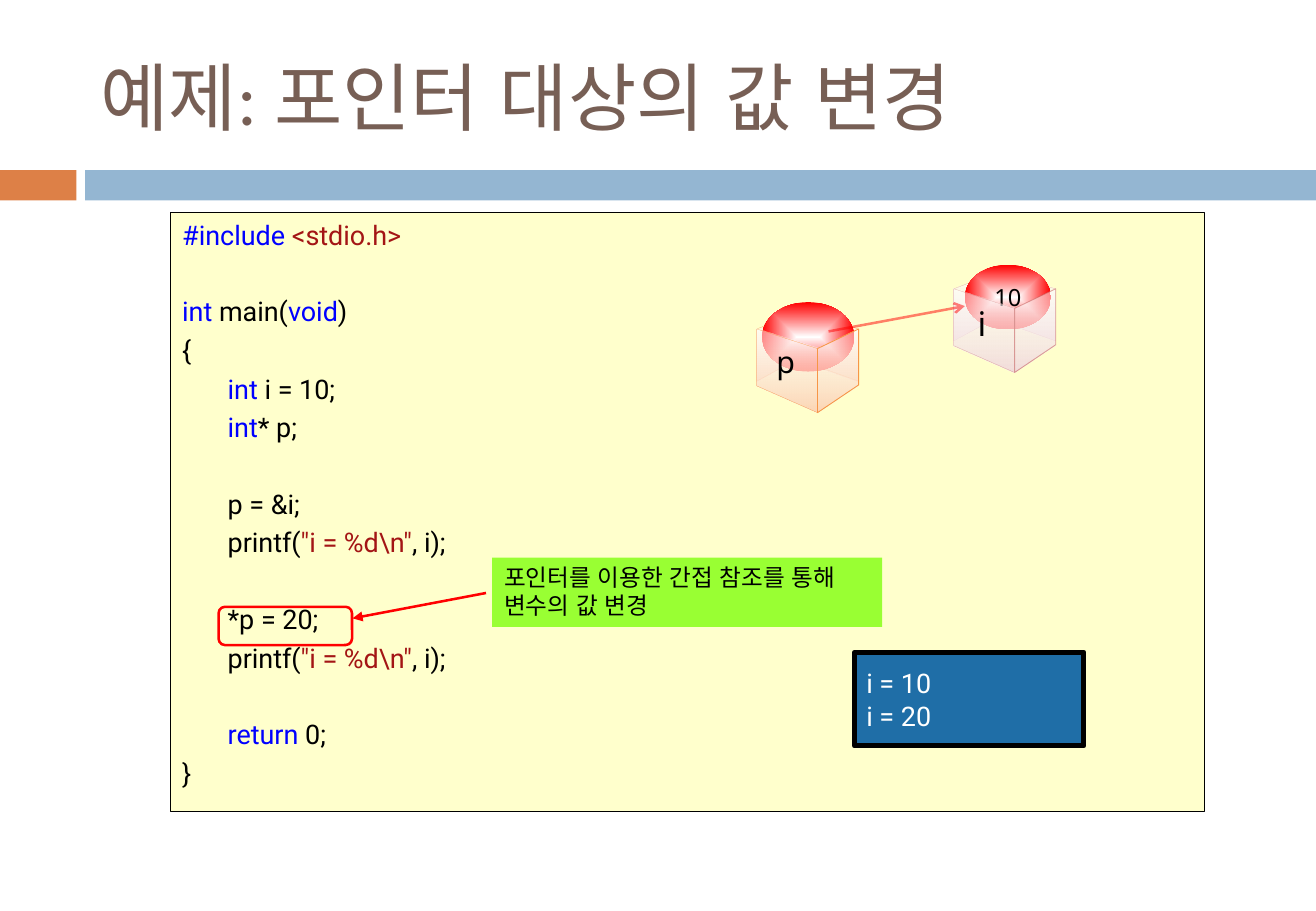
from lxml.etree import SubElement
from pptx import Presentation
from pptx.dml.color import RGBColor
from pptx.enum.lang import MSO_LANGUAGE_ID
from pptx.enum.shapes import MSO_CONNECTOR, MSO_SHAPE
from pptx.enum.text import MSO_ANCHOR, PP_ALIGN
from pptx.oxml.ns import qn
from pptx.util import Cm, Pt

HUE = {
    "black": "000000", "white": "FFFFFF", "brown": "775F55",
    "orange": "DD8047", "sky": "94B6D2", "cream": "FFFFCC",
    "key": "0000FF", "text": "A31515", "red": "FF0000",
    "lime": "99FF33", "screen": "1F6EA7", "peach": "FCD5B5",
    "amber": "F79646", "rose": "F2DCDB", "wine": "C0504D",
}
KOREAN = "Noto Sans CJK KR"

# Content
TITLE = "예제: 포인터 대상의 값 변경"
NOTE = "포인터를 이용한 간접 참조를 통해 변수의 값 변경"
OUTPUT = ["i = 10", "i = 20"]
PRINT = [("printf(", "black"), ('"i = %d\\n"', "text"), (", i);", "black")]
# Each line of code: indent level, gap above, runs
CODE = [
    (0, False, [("#include ", "key"), ("<stdio.h>", "text")]),
    (0, True, [("int", "key"), (" main(", "black"), ("void", "key"), (")", "black")]),
    (0, False, [("{", "black")]),
    (1, False, [("int ", "key"), ("i = 10;", "black")]),
    (1, False, [("int", "key"), ("* p;", "black")]),
    (1, True, [("p = &i;", "black")]),
    (1, False, PRINT),
    (1, True, [("*p = 20;", "black")]),
    (1, False, PRINT),
    (1, True, [("return", "key"), (" 0;", "black")]),
    (0, False, [("}", "black")]),
]
# Cube faces as offsets from the cube's corner, in cm
BACK = [
    [(0.86, 0), (0.86, 0.97), (2.13, 1.42), (2.13, 0.33)],
    [(0, 1.42), (0.86, 0.95), (0.86, 0), (0, 0.33)],
]
FRONT = [
    [(0, 0.33), (0, 1.52), (1.27, 2.08), (1.27, 0.74)],
    [(1.27, 2.08), (2.13, 1.5), (2.13, 0.33), (1.27, 0.74)],
]
CUBES = [
    dict(at=(15.82, 6.55), ball=(15.93, 6.32, 1.93, 1.45), value="", tint="peach",
         edge="amber", clear=False, name="p", size=18, tag=(15.98, 7.06, 0.94, 1.02)),
    dict(at=(19.94, 5.71), ball=(20.17, 5.54, 1.8, 1.35), value="10", tint="rose",
         edge="wine", clear=True, name="i", size=20, tag=(20.19, 6.2, 0.79, 1.12)),
]


def rgb(hue):
    return RGBColor.from_string(HUE[hue])


def fade(color):
    SubElement(color, qn("a:alpha"), val="50000")


def add_run(para, text, size, face, hue):
    run = para.add_run()
    run.text = text
    font = run.font
    font.size, font.name, font.color.rgb = Pt(size), face, rgb(hue)
    return run


def add_korean(para, text, size, face, hue):
    run = add_run(para, text, size, face, hue)
    run.font.language_id = MSO_LANGUAGE_ID.KOREAN
    SubElement(run.font._element, qn("a:ea"), typeface=KOREAN)


def set_line(shape, hue, width, clear=False):
    shape.line.color.rgb = rgb(hue)
    shape.line.width = Pt(width)
    if clear:
        fade(shape.element.spPr.find(qn("a:ln")).find(".//" + qn("a:srgbClr")))


def add_box(home, kind, place, fill=None, line=None, width=1):
    box = home.add_shape(kind, *map(Cm, place))
    box.shadow.inherit = False
    if fill:
        box.fill.solid()
        box.fill.fore_color.rgb = rgb(fill)
    else:
        box.fill.background()
    if line:
        set_line(box, line, width)
    else:
        box.line.fill.background()
    box.text_frame.vertical_anchor = MSO_ANCHOR.TOP
    box.text_frame.paragraphs[0].alignment = PP_ALIGN.LEFT
    return box


def blend(shape, tint):
    shape.fill.gradient()
    for stop, hue, spot in zip(shape.fill.gradient_stops, ("white", tint), (0, 1)):
        stop.color.rgb, stop.position = rgb(hue), spot
    return shape.element.spPr.find(qn("a:gradFill"))


def add_face(home, cube, points, width):
    left, top = cube["at"]
    spots = [(Cm(left + x), Cm(top + y)) for x, y in points]
    pen = home.build_freeform(*spots[0])
    pen.add_line_segments(spots[1:], close=True)
    face = pen.convert_to_shape()
    face.shadow.inherit = False
    grad = blend(face, cube["tint"])
    face.fill.gradient_angle = 270
    fade(grad.find(".//" + qn("a:srgbClr")))
    set_line(face, cube["edge"], width, cube["clear"])


def add_ball(home, cube):
    ball = add_box(home, MSO_SHAPE.OVAL, cube["ball"])
    grad = blend(ball, "red")
    grad.remove(grad.find(qn("a:lin")))
    route = SubElement(grad, qn("a:path"), path="shape")
    SubElement(route, qn("a:fillToRect"), l="50000", t="50000", r="50000", b="50000")
    if cube["value"]:
        frame = ball.text_frame
        frame.word_wrap, frame.vertical_anchor = False, MSO_ANCHOR.MIDDLE
        frame.paragraphs[0].alignment = PP_ALIGN.CENTER
        add_run(frame.paragraphs[0], cube["value"], 14, "Noto Sans", "black")


def add_cube(home, cube):
    for points in BACK:
        add_face(home, cube, points, 0.1)
    add_ball(home, cube)
    for points, width in zip(FRONT, (0.1, 0.5)):
        add_face(home, cube, points, width)
    frame = home.add_textbox(*map(Cm, cube["tag"])).text_frame
    frame.word_wrap = False
    add_run(frame.paragraphs[0], cube["name"], cube["size"], "Noto Sans", "black")


def add_arrow(home, ends, head, clear=False):
    arrow = home.add_connector(MSO_CONNECTOR.STRAIGHT, *map(Cm, ends))
    set_line(arrow, "red", 1.5, clear)
    props = arrow.element.spPr
    SubElement(props.find(qn("a:ln")), qn("a:tailEnd"), type=head)
    SubElement(props, qn("a:effectLst"))


def main():
    deck = Presentation()
    deck.slide_width, deck.slide_height = Cm(27.51), Cm(19.05)
    slide = deck.slides.add_slide(deck.slide_layouts[5])
    home = slide.shapes

    # Title and bars
    title = home.title
    title.left, title.top, title.width, title.height = map(Cm, (1.85, 0.64, 24.54, 2.74))
    title.text_frame.vertical_anchor = MSO_ANCHOR.MIDDLE
    para = title.text_frame.paragraphs[0]
    para.alignment = PP_ALIGN.LEFT
    add_korean(para, TITLE, 44, "Calibri", "brown")
    add_box(home, MSO_SHAPE.RECTANGLE, (0, 3.56, 1.6, 0.63), "orange")
    add_box(home, MSO_SHAPE.RECTANGLE, (1.78, 3.56, 25.73, 0.63), "sky")

    # Code
    frame = add_box(home, MSO_SHAPE.RECTANGLE, (3.56, 4.44, 21.62, 12.52),
                    "cream", "black", 0.25).text_frame
    for row, (level, gap, runs) in enumerate(CODE):
        para = frame.add_paragraph() if row else frame.paragraphs[0]
        para.alignment = PP_ALIGN.LEFT
        para.space_before = Pt((26.2 if gap else 3.7) if row else 0)
        para._p.get_or_add_pPr().set("marL", str(Cm(0.95 * level)))
        for text, hue in runs:
            add_run(para, text, 16, "Roboto", hue)
    add_box(home, MSO_SHAPE.ROUNDED_RECTANGLE, (4.57, 12.69, 2.79, 0.8), None, "red", 1.5)

    # Pointer and its target
    group = home.add_group_shape().shapes
    for cube in CUBES:
        add_cube(group, cube)
    add_arrow(group, (17.32, 6.93, 20.17, 6.4), "arrow", True)

    # Note with arrow
    note = add_box(home, MSO_SHAPE.RECTANGLE, (10.29, 11.66, 8.15, 1.45), "lime")
    para = note.text_frame.paragraphs[0]
    para.line_spacing = Pt(16.6)
    add_korean(para, NOTE, 14, KOREAN, "black")
    add_arrow(home, (10.16, 12.4, 7.37, 12.93), "triangle")

    # Program output
    frame = add_box(home, MSO_SHAPE.RECTANGLE, (17.86, 13.64, 4.8, 1.96),
                    "screen", "black", 3).text_frame
    frame.vertical_anchor = MSO_ANCHOR.MIDDLE
    for row, text in enumerate(OUTPUT):
        para = frame.add_paragraph() if row else frame.paragraphs[0]
        para.alignment = PP_ALIGN.LEFT
        add_run(para, text, 16, "Roboto", "white")

    deck.save("out.pptx")


if __name__ == "__main__":
    main()
